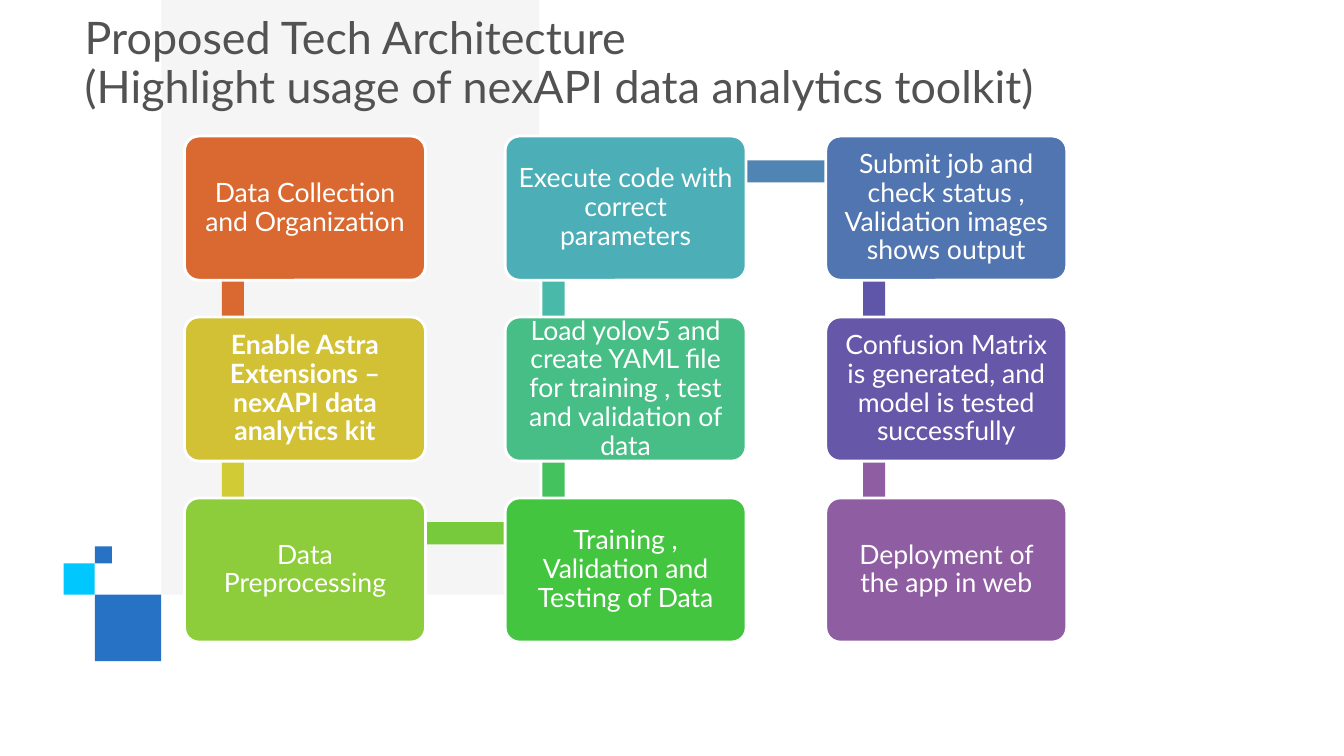
"""Build the proposed tech architecture slide: a nine-step serpentine process."""
from lxml import etree
from pptx import Presentation, util as u
from pptx.dml.color import RGBColor
from pptx.enum import shapes, text
from pptx.oxml.ns import qn

W, H = 13.33, 7.5
TITLE = "Proposed Tech Architecture\v(Highlight usage of nexAPI data analytics toolkit)"
STEPS = [
    ("Data Collection and Organization", "D96930", "D96930"),
    ("Enable Astra Extensions – nexAPI data analytics kit", "D2C035", "D1CC36"),
    ("Data Preprocessing", "8DCC3B", "76CA3C"),
    ("Training , Validation and Testing of Data", "43C540", "43C25E"),
    ("Load yolov5 and create YAML file for training , test and validation of data",
     "46BE86", "49BAA9"),
    ("Execute code with correct parameters", "4CAFB7", "5084B2"),
    ("Submit job and check status , Validation images shows output", "5175B0", "5F56AA"),
    ("Confusion Matrix is generated, and model is tested successfully", "6657A9", "8F5DA2"),
    ("Deployment of the app in web", "8F5DA2", None),
]
BOLD_STEP = 1
SQUARES = [(0.94, 5.9, 0.66, "2872C5"), (0.63, 5.59, 0.31, "00C7FD"),
           (0.94, 5.42, 0.17, "2872C5")]
ROWS = 3
LEFT, TOP = 1.83, 1.35
COL_PITCH, ROW_PITCH = 3.18, 1.795
BOX_W, BOX_H = 2.39, 1.43
BAR = 0.22
BOX_FRAME = dict(word_wrap=True, vertical_anchor=text.MSO_ANCHOR.MIDDLE,
                 **{f"margin_{side}": u.Inches(0.08)
                    for side in ("left", "right", "top", "bottom")})
TITLE_FRAME = dict(word_wrap=True, vertical_anchor=text.MSO_ANCHOR.TOP,
                   auto_size=text.MSO_AUTO_SIZE.NONE,
                   margin_left=0, margin_right=0, margin_top=0, margin_bottom=0)


def rgb(value):
    """Turn a hex string into a colour."""
    return RGBColor.from_string(value)


def apply(target, values):
    """Set each attribute named in a dict."""
    for name, value in values.items():
        setattr(target, name, value)


def add_block(s, kind, box, fill):
    """Add a filled shape without line or shadow."""
    sp = s.shapes.add_shape(kind, *map(u.Inches, box))
    sp.shadow.inherit = False
    sp.fill.solid()
    sp.fill.fore_color.rgb = rgb(fill)
    sp.line.fill.background()
    return sp


def write(tf, words, frame, align, size, color, bold=False):
    """Fill a text frame with one formatted paragraph."""
    apply(tf, frame)
    tf.text = words
    p = tf.paragraphs[0]
    apply(p, dict(alignment=align, line_spacing=0.9, space_before=u.Pt(0)))
    for r in p.runs:
        apply(r.font, dict(name="Lato", size=u.Pt(size), bold=bold))
        r.font.color.rgb = rgb(color)


def cell(i):
    """Return the left and top of a step on the serpentine grid."""
    col, row = divmod(i, ROWS)
    if col % 2:
        row = ROWS - 1 - row
    return LEFT + col * COL_PITCH, TOP + row * ROW_PITCH


def add_backdrop(s):
    """Add the pale panel and the corner squares."""
    rect = shapes.MSO_SHAPE.RECTANGLE
    panel = add_block(s, rect, (1.6, 0, 3.75, 5.9), "E7E7E7")
    color = panel.fill._xPr.find(qn("a:solidFill"))[0]
    etree.SubElement(color, qn("a:alpha"), val="39000")
    for x, y, side, fill in SQUARES:
        add_block(s, rect, (x, y, side, side), fill)


def add_title(s):
    """Place and format the title above the backdrop."""
    title = s.shapes.title
    s.shapes._spTree.append(title._element)
    apply(title, dict(left=u.Inches(0.84), top=u.Inches(0.16),
                      width=u.Inches(12), height=u.Inches(1.19)))
    write(title.text_frame, TITLE, TITLE_FRAME, text.PP_ALIGN.LEFT, 32, "525252")


def add_steps(s):
    """Add each step box with the bar that leads to the next one."""
    for i, (words, fill, bar_fill) in enumerate(STEPS):
        x, y = cell(i)
        if bar_fill:
            next_x, next_y = cell(i + 1)
            if next_x == x:
                bar = (x + 0.37, min(y, next_y) + 0.36, BAR, ROW_PITCH)
            else:
                bar = (x + 0.49, y + 0.24, COL_PITCH, BAR)
            add_block(s, shapes.MSO_SHAPE.RECTANGLE, bar, bar_fill)
        sp = add_block(s, shapes.MSO_SHAPE.ROUNDED_RECTANGLE, (x, y, BOX_W, BOX_H), fill)
        sp.adjustments[0] = 0.1
        sp.line.color.rgb = rgb("FFFFFF")
        sp.line.width = u.Pt(2)
        write(sp.text_frame, words, BOX_FRAME, text.PP_ALIGN.CENTER, 19, "FFFFFF",
              i == BOLD_STEP)


def main():
    """Build and save the deck."""
    prs = Presentation()
    apply(prs, dict(slide_width=u.Inches(W), slide_height=u.Inches(H)))
    s = prs.slides.add_slide(prs.slide_layouts[5])
    add_backdrop(s)
    add_title(s)
    add_steps(s)
    prs.save("out.pptx")


if __name__ == "__main__":
    main()
